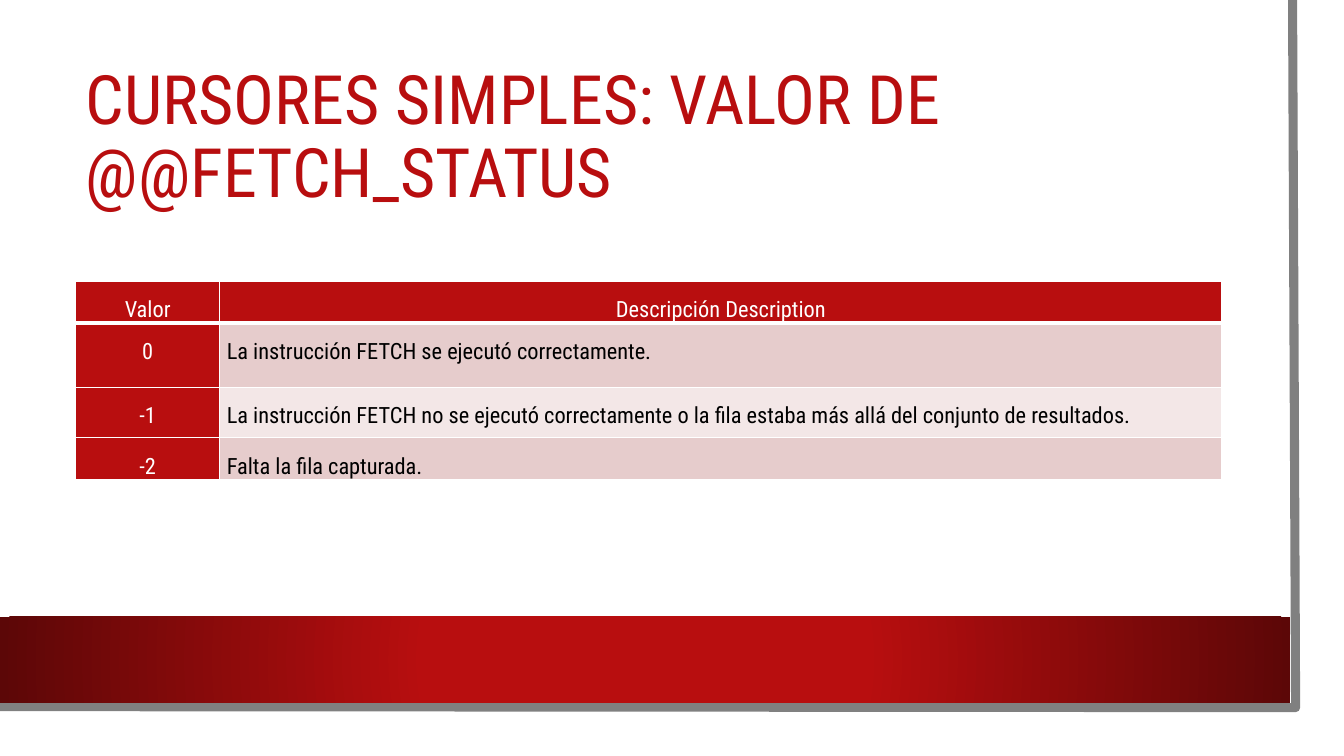
"""Build a slide with a table of the @@FETCH_STATUS values of a cursor."""
from dataclasses import dataclass

from lxml import etree
from pptx import Presentation
from pptx import util as u
from pptx.dml.color import RGBColor
from pptx.enum import shapes, text
from pptx.oxml.ns import qn


@dataclass(frozen=True)
class Theme:
    font: str = "Roboto Condensed"
    title_size: float = 48.6
    table_size: float = 16
    red: str = "B80E0F"
    dark_red: str = "5C0707"
    grey: str = "808080"
    white: str = "FFFFFF"
    black: str = "000000"
    bands: tuple = ("E6CCCC", "F3E7E7")


def rgb(color):
    return RGBColor.from_string(color)


def write(tf, content, *, font, size, color, align=text.PP_ALIGN.LEFT, spacing=1.0):
    p = tf.paragraphs[0]
    p.alignment = align
    p.line_spacing = spacing
    r = p.add_run()
    r.text = content
    r.font.name = font
    r.font.size = u.Pt(size)
    r.font.color.rgb = rgb(color)


def border(cell, side, color, width):
    ln = etree.SubElement(cell._tc.get_or_add_tcPr(), qn(f"a:ln{side}"), w=str(u.Pt(width)))
    fill = etree.SubElement(ln, qn("a:solidFill"))
    etree.SubElement(fill, qn("a:srgbClr"), val=color)


class SlideBuilder:
    def __init__(self, s, theme):
        self.s = s
        self.theme = theme

    def rect(self, x, y, w, h, color):
        sp = self.s.shapes.add_shape(shapes.MSO_SHAPE.RECTANGLE, *map(u.Inches, (x, y, w, h)))
        sp.shadow.inherit = False
        sp.line.fill.background()
        sp.fill.solid()
        sp.fill.fore_color.rgb = rgb(color)
        return sp

    def radial_band(self, x, y, w, h, inner, outer):
        sp = self.rect(x, y, w, h, inner[1])
        sp.fill.gradient()
        for stop, (position, color) in zip(sp.fill.gradient_stops, (inner, outer)):
            stop.position = position
            stop.color.rgb = rgb(color)
        grad = sp._element.spPr.find(qn("a:gradFill"))
        grad.remove(grad.find(qn("a:lin")))
        radial = etree.SubElement(grad, qn("a:path"), path="circle")
        etree.SubElement(radial, qn("a:fillToRect"), l="50000", t="50000", r="50000", b="50000")

    def polyline(self, points, color, width):
        start, *rest = [(u.Inches(x), u.Inches(y)) for x, y in points]
        builder = self.s.shapes.build_freeform(*start)
        builder.add_line_segments(rest, close=False)
        sp = builder.convert_to_shape()
        sp.shadow.inherit = False
        sp.fill.background()
        sp.line.color.rgb = rgb(color)
        sp.line.width = u.Pt(width)

    def title(self, content, x, y, w, h):
        sp = self.s.shapes.title
        sp.left, sp.top, sp.width, sp.height = map(u.Inches, (x, y, w, h))
        tf = sp.text_frame
        tf.word_wrap = True
        tf.auto_size = text.MSO_AUTO_SIZE.NONE
        tf.vertical_anchor = text.MSO_ANCHOR.MIDDLE
        write(tf, content, font=self.theme.font, size=self.theme.title_size,
              color=self.theme.red, spacing=0.9)
        self.s.shapes._spTree.append(sp._element)

    def table(self, rows, x, y, widths, heights):
        size = map(u.Inches, (x, y, sum(widths), sum(heights)))
        table = self.s.shapes.add_table(len(rows), len(widths), *size).table
        for column, width in zip(table.columns, widths):
            column.width = u.Inches(width)
        for i, (row, height) in enumerate(zip(rows, heights)):
            table.rows[i].height = u.Inches(height)
            for j, content in enumerate(row):
                self.cell(table.cell(i, j), content, i, j)

    def cell(self, cell, content, i, j):
        t = self.theme
        heading = i == 0 or j == 0
        cell.margin_left = cell.margin_right = u.Inches(0.07)
        cell.margin_top = cell.margin_bottom = 0
        for side in "LRTB":
            thick = (i == 0 and side == "B") or (i == 1 and side == "T")
            border(cell, side, t.white, 3 if thick else 1)
        cell.fill.solid()
        cell.fill.fore_color.rgb = rgb(t.red if heading else t.bands[(i - 1) % 2])
        write(cell.text_frame, content, font=t.font, size=t.table_size,
              color=t.white if heading else t.black, spacing=1.6,
              align=text.PP_ALIGN.CENTER if heading else text.PP_ALIGN.LEFT)


def main():
    prs = Presentation()
    prs.slide_width, prs.slide_height = u.Inches(13.33), u.Inches(7.5)
    t = Theme()
    b = SlideBuilder(prs.slides.add_slide(prs.slide_layouts[5]), t)

    b.rect(0, 0, 13.1, 7.27, t.white)
    b.polyline([(12.82, 0), (12.85, 7.02), (-0.03, 7.01)], t.grey, 6.5)
    b.radial_band(0, 6.12, 12.8, 0.85, (0.34, t.red), (1, t.dark_red))
    b.title("CURSORES SIMPLES: VALOR DE @@FETCH_STATUS", 0.75, 0.75, 11.37, 1.26)
    rows = [
        ("Valor", "Descripción Description"),
        ("0", "La instrucción FETCH se ejecutó correctamente."),
        ("-1", "La instrucción FETCH no se ejecutó correctamente o la fila estaba "
               "más allá del conjunto de resultados."),
        ("-2", "Falta la fila capturada."),
    ]
    b.table(rows, 0.75, 2.79, (1.43, 9.94), (0.32, 0.64, 0.5, 0.32))
    prs.save("out.pptx")


if __name__ == "__main__":
    main()
